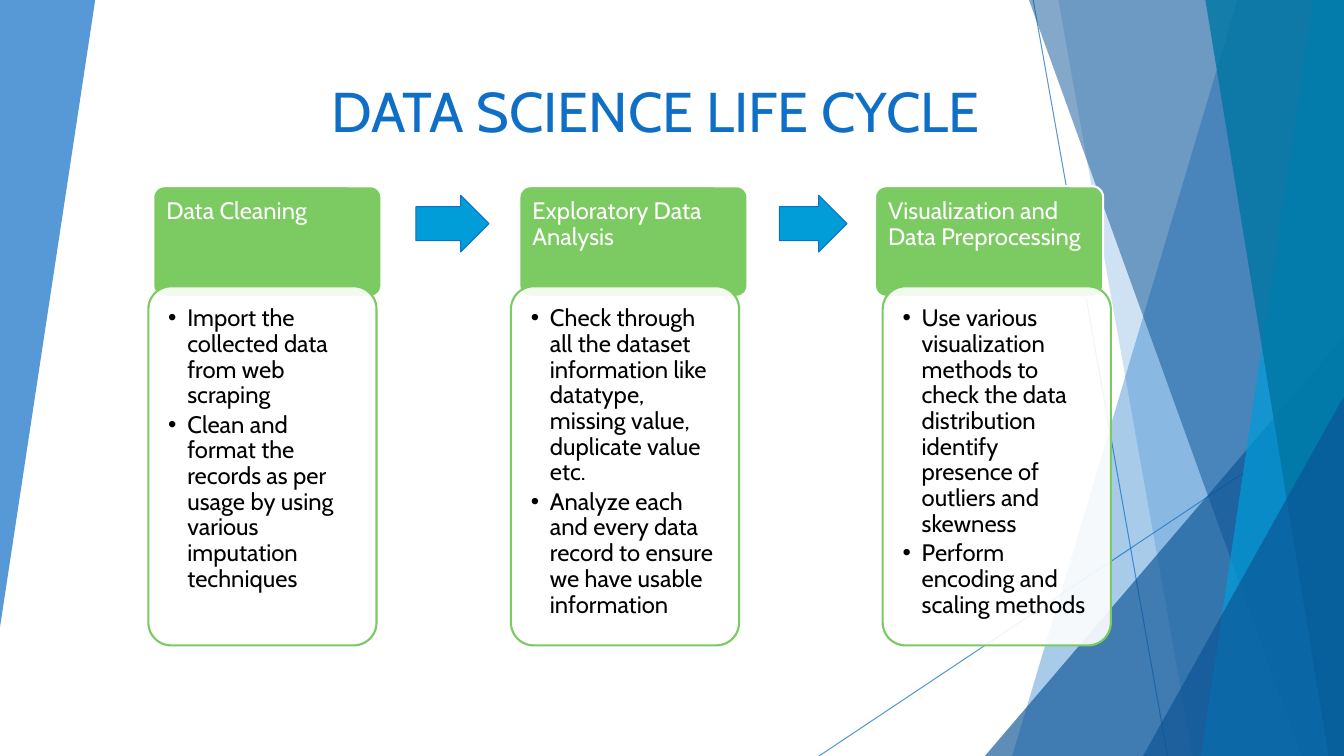
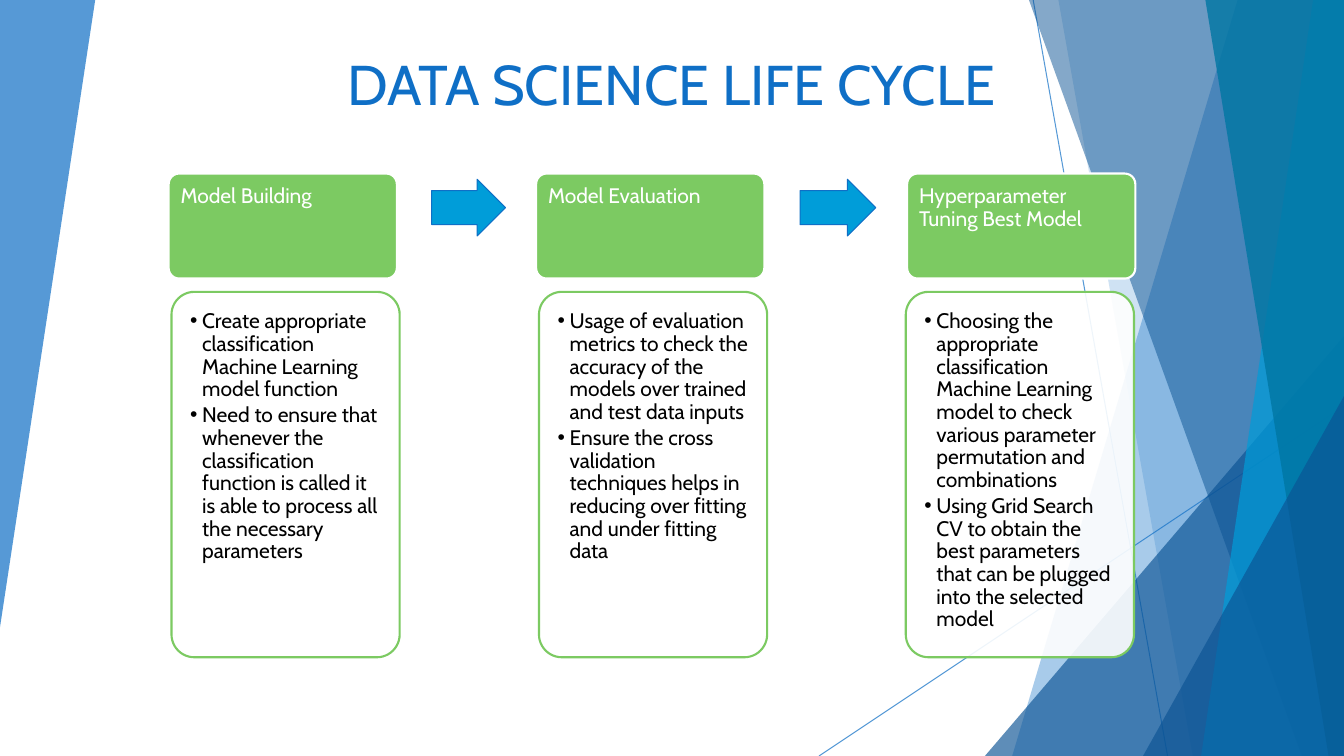
from pptx import Presentation
from pptx.dml.color import RGBColor
from pptx.enum.shapes import MSO_CONNECTOR as Link, MSO_SHAPE as Kind
from pptx.enum.text import MSO_ANCHOR as Anchor, PP_ALIGN as Align
from pptx.oxml.ns import qn
from pptx.util import Pt
from lxml.etree import SubElement as Sub

WIDE, HIGH = 960, 540
FONT = "Cabin"
BLUE, NAVY, CYAN, TEAL = "0F6FC6", "0B5394", "009DD9", "0076A3"
GREEN, WHITE, BLACK = "7CCA62", "FFFFFF", "000000"
CARD = 163

DECK = [
    dict(
        title=(173, 53, 534, 53, Align.RIGHT), size=17, inset=9.4, indent=13.7,
        head=(133, 79), body=(204.5, 256.5), arrow=139.5,
        cards=[
            (109.5, 106, "Data Cleaning", [
                "Import the collected data from web scraping",
                "Clean and format the records as per usage by using various imputation techniques"]),
            (371, 365, "Exploratory Data Analysis", [
                "Check through all the dataset information like datatype, missing value, duplicate value etc.",
                "Analyze each and every data record to ensure we have usable information"]),
            (625, 630.5, "Visualization and Data Preprocessing", [
                "Use various visualization methods to check the data distribution identify presence of outliers and skewness",
                "Perform encoding and scaling methods"]),
        ]),
    dict(
        title=(214.5, 32.5, 530, 54.5, Align.CENTER), size=15, inset=8.6, indent=8.6,
        head=(124, 75), body=(208.5, 261), arrow=128,
        cards=[
            (120.5, 122.5, "Model Building", [
                "Create appropriate classification Machine Learning model function",
                "Need to ensure that whenever the classification function is called it is able to process all the necessary parameters"]),
            (383, 385, "Model Evaluation", [
                "Usage of evaluation metrics to check the accuracy of the models over trained and test data inputs",
                "Ensure the cross validation techniques helps in reducing over fitting and under fitting data"]),
            (648, 647, "Hyperparameter Tuning Best Model", [
                "Choosing the appropriate classification Machine Learning model to check various parameter permutation and combinations",
                "Using Grid Search CV to obtain the best parameters that can be plugged into the selected model"]),
        ]),
]


def tint(text):
    return RGBColor.from_string(text)


def fade(shape, part):
    mark = shape.element.spPr.find(".//" + qn("a:srgbClr"))
    Sub(mark, qn("a:alpha"), val=str(part * 1000))


def paint(shape, fill, line=None, width=0.75, part=100):
    shape.shadow.inherit = False
    shape.fill.solid()
    shape.fill.fore_color.rgb = tint(fill)
    if line:
        shape.line.color.rgb = tint(line)
        shape.line.width = Pt(width)
    else:
        shape.line.fill.background()
    if part < 100:
        fade(shape, part)
    return shape


def block(slide, kind, box, fill, adjust=(), **look):
    shape = slide.shapes.add_shape(kind, *map(Pt, box))
    for spot, value in enumerate(adjust):
        shape.adjustments[spot] = value
    return paint(shape, fill, **look)


def write(shape, lines, size, color, align=Align.LEFT, anchor=Anchor.TOP,
          inset=None, indent=0, space=None, after=0):
    frame = shape.text_frame
    frame.word_wrap = True
    frame.vertical_anchor = anchor
    if inset is not None:
        frame.margin_left = frame.margin_right = Pt(inset)
        frame.margin_top = frame.margin_bottom = Pt(inset)
    for spot, line in enumerate(lines):
        para = frame.add_paragraph() if spot else frame.paragraphs[0]
        para.alignment = align
        para.line_spacing = space
        para.space_after = Pt(after)
        run = para.add_run()
        run.text = line
        run.font.name = FONT
        run.font.size = Pt(size)
        run.font.color.rgb = tint(color)
        if indent:
            props = para._p.get_or_add_pPr()
            props.set("marL", str(Pt(indent)))
            props.set("indent", str(-Pt(indent)))
            Sub(props, qn("a:buFont"), typeface="Arial")
            Sub(props, qn("a:buChar"), char="•")


def facet(slide, points, fill, part):
    pen = slide.shapes.build_freeform(*points[0], scale=Pt(1))
    pen.add_line_segments(points[1:], close=True)
    paint(pen.convert_to_shape(), fill, part=part)


def band(slide, top, base, fill, part):
    facet(slide, [(top, 0), (WIDE, 0), (WIDE, HIGH), (base, HIGH)], fill, part)


def wedge(slide, left, top):
    box = left, top, WIDE - left, HIGH - top
    block(slide, Kind.ISOSCELES_TRIANGLE, box, NAVY, [1], part=66)


def stroke(slide, *ends):
    line = slide.shapes.add_connector(Link.STRAIGHT, *map(Pt, ends))
    line.line.color.rgb = tint(BLUE)
    line.line.width = Pt(0.75)
    Sub(line.element.spPr, qn("a:effectLst"))
    fade(line, 70)


def backdrop(slide, layout):
    for holder in list(layout.placeholders):
        if holder.placeholder_format.idx:
            layout.shapes.element.remove(holder.element)
    facet(slide, [(0, 0), (68, 0), (0, 448)], BLUE, 70)
    stroke(slide, 738, 0, 834, HIGH)
    stroke(slide, WIDE, 290, 585, HIGH)
    band(slide, 884, 723, BLUE, 36)
    band(slide, 756, 852, BLUE, 20)
    wedge(slide, 703.5, 240)
    band(slide, 735, 929.5, NAVY, 50)
    band(slide, 938, 858, CYAN, 70)
    band(slide, 861, 949, TEAL, 80)
    wedge(slide, 816.5, 283)
    for shape in list(slide.shapes):
        if not shape.is_placeholder:
            layout.shapes.element.append(shape.element)


def heading(slide, left, top, width, height, align):
    title = slide.shapes.title
    title.left, title.top = Pt(left), Pt(top)
    title.width, title.height = Pt(width), Pt(height)
    write(title, ["DATA SCIENCE LIFE CYCLE"], 40, BLUE, align, Anchor.BOTTOM)


def card(slide, head, body, name, notes, size, inset, indent):
    top = block(slide, Kind.ROUNDED_RECTANGLE, head, GREEN, [0.1], line=WHITE, width=1.5)
    write(top, [name], size, WHITE, inset=inset - 2.3, space=0.9)
    box = block(slide, Kind.ROUNDED_RECTANGLE, body, WHITE, [0.1], line=GREEN, width=1.5, part=90)
    write(box, notes, size, BLACK, inset=inset, indent=indent, space=0.9, after=size * 0.15)


def arrow(slide, left, right, top):
    gap = right - left
    box = left + gap * 0.25, top, gap * 0.53, 40.5
    block(slide, Kind.RIGHT_ARROW, box, CYAN, [0.6, 0.5], line=BLUE)


def cycle(slide, title, cards, head, body, arrow_top, **look):
    heading(slide, *title)
    last = None
    for left, under, name, notes in cards:
        if last is not None:
            arrow(slide, last, left, arrow_top)
        card(slide, (left, head[0], CARD, head[1]), (under, body[0], CARD, body[1]),
             name, notes, **look)
        last = left + CARD


def main():
    deck = Presentation()
    deck.slide_width, deck.slide_height = Pt(WIDE), Pt(HIGH)
    layout = deck.slide_layouts[5]
    for page, data in enumerate(DECK):
        slide = deck.slides.add_slide(layout)
        if page == 0:
            backdrop(slide, layout)
        cycle(slide, data["title"], data["cards"], data["head"], data["body"], data["arrow"],
              size=data["size"], inset=data["inset"], indent=data["indent"])
    deck.save("out.pptx")


if __name__ == "__main__":
    main()
